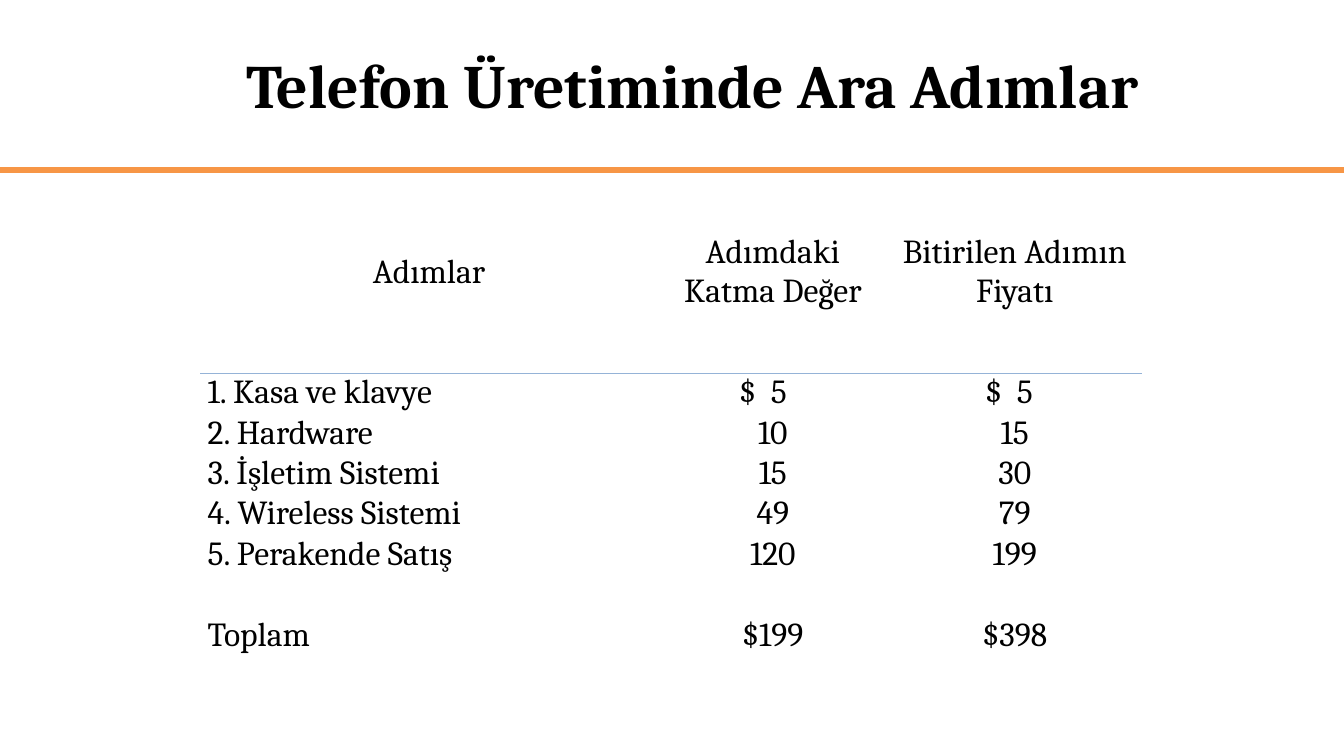
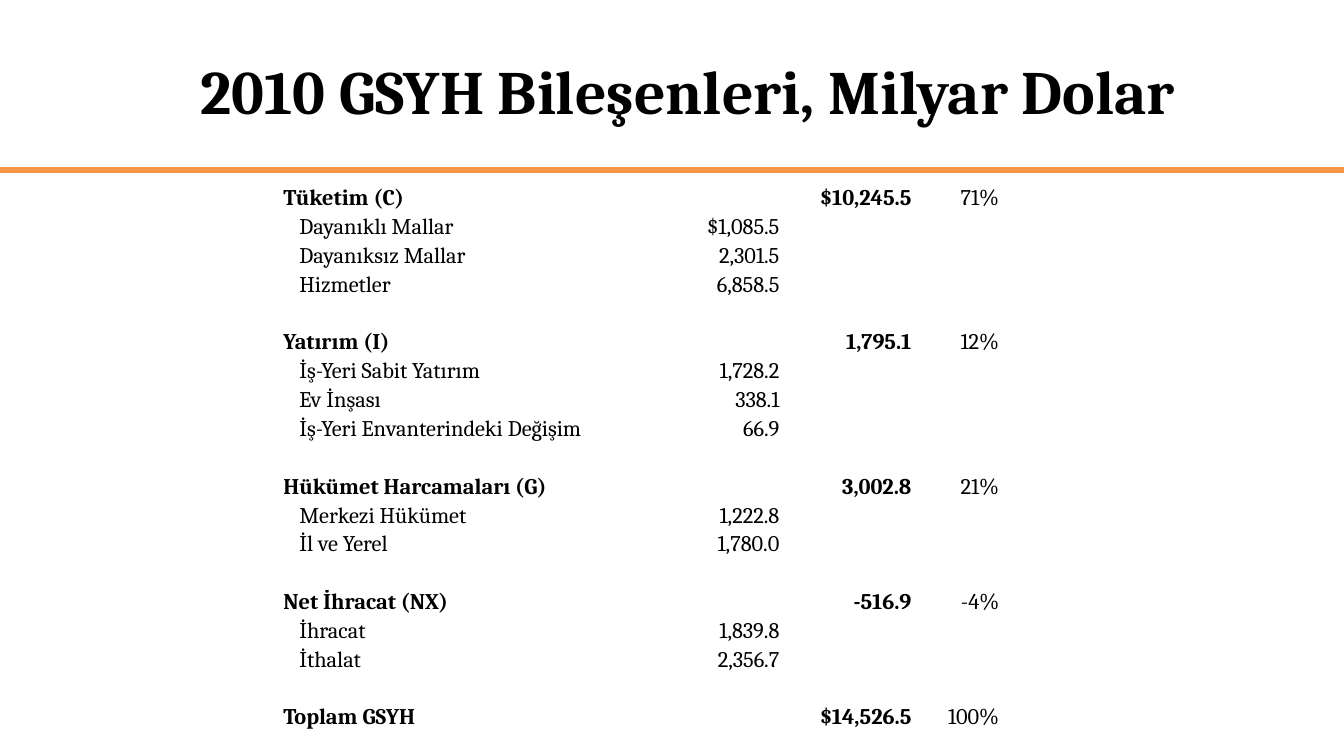
from dataclasses import dataclass

from lxml import etree
from pptx import Presentation
from pptx import util as u
from pptx.dml.color import RGBColor
from pptx.enum import shapes, text
from pptx.oxml import ns

PX = 9144
SLIDE_W, SLIDE_H = 1333, 750
RULE_Y = 169
FONT = "Cambria"
BLACK = RGBColor(0x00, 0x00, 0x00)
ORANGE = RGBColor(0xF7, 0x96, 0x46)
BLUE = RGBColor(0x95, 0xB3, 0xD7)
LEFT, CENTER, RIGHT = text.PP_ALIGN.LEFT, text.PP_ALIGN.CENTER, text.PP_ALIGN.RIGHT
MIDDLE, TOP = text.MSO_ANCHOR.MIDDLE, text.MSO_ANCHOR.TOP


@dataclass(frozen=True)
class Box:
    x: int
    y: int
    w: int
    h: int

    def emu(self) -> tuple:
        return tuple(u.Emu(v * PX) for v in (self.x, self.y, self.w, self.h))


@dataclass(frozen=True)
class Cell:
    label: str = ""
    align: text.PP_ALIGN = LEFT
    bold: bool = False
    indent: int = 0
    anchor: text.MSO_ANCHOR = TOP


@dataclass(frozen=True)
class Grid:
    box: Box
    cols: tuple
    size: int
    rows: list
    header_h: int = 0
    ruled_row: int = 0


def apply(target, values: dict) -> None:
    for name, value in values.items():
        setattr(target, name, value)


def style_font(font, size: int, bold: bool) -> None:
    apply(font, {"name": FONT, "size": u.Pt(size), "bold": bold})
    font.color.rgb = BLACK


def add_rule(s) -> None:
    y = u.Emu(RULE_Y * PX)
    line = s.shapes.add_connector(
        shapes.MSO_CONNECTOR.STRAIGHT, 0, y, u.Emu(SLIDE_W * PX), y)
    line.line.color.rgb = ORANGE
    line.line.width = u.Pt(4.5)
    etree.SubElement(line._element.spPr, ns.qn("a:effectLst"))


def add_titled_slide(prs, title: str, box: Box):
    s = prs.slides.add_slide(prs.slide_layouts[5])
    add_rule(s)
    sp = s.shapes.title
    apply(sp, dict(zip(("left", "top", "width", "height"), box.emu())))
    tf = sp.text_frame
    apply(tf, {"text": title, "word_wrap": True, "vertical_anchor": MIDDLE,
               "auto_size": text.MSO_AUTO_SIZE.NONE})
    p = tf.paragraphs[0]
    p.alignment = CENTER
    style_font(p.runs[0].font, 44, True)
    return s


def add_border(tc, side: str) -> None:
    ln = etree.Element(ns.qn(f"a:{side}"), w=str(u.Pt(1)))
    fill = etree.SubElement(ln, ns.qn("a:solidFill"))
    etree.SubElement(fill, ns.qn("a:srgbClr"), val=str(BLUE))
    tc._tc.get_or_add_tcPr().insert(0, ln)


def fill_cell(tc, cell: Cell, size: int) -> None:
    margin = u.Emu(7 * PX)
    apply(tc, {"margin_left": margin, "margin_right": margin, "margin_top": 0,
               "margin_bottom": 0, "vertical_anchor": cell.anchor})
    tc.fill.background()
    p = tc.text_frame.paragraphs[0]
    p.alignment = cell.align
    if cell.indent:
        p._p.get_or_add_pPr().set("marL", str(cell.indent * PX))
    if cell.label:
        r = p.add_run()
        r.text = cell.label
        style_font(r.font, size, cell.bold)
    else:
        p._p.get_or_add_endParaRPr().set("sz", str(size * 100))


def add_grid(s, grid: Grid) -> None:
    n = len(grid.rows)
    table = s.shapes.add_table(n, len(grid.cols), *grid.box.emu()).table
    apply(table, {"first_row": False, "horz_banding": False})
    for col, width in zip(table.columns, grid.cols):
        col.width = u.Emu(width * PX)
    if grid.header_h:
        body_h = (grid.box.h - grid.header_h) * PX // (n - 1)
        for i, row in enumerate(table.rows):
            row.height = u.Emu(body_h if i else grid.header_h * PX)
    for i, cells in enumerate(grid.rows):
        for j, cell in enumerate(cells):
            tc = table.cell(i, j)
            fill_cell(tc, cell, grid.size)
            if grid.ruled_row and i == grid.ruled_row:
                add_border(tc, "lnB")
            if grid.ruled_row and i == grid.ruled_row + 1:
                add_border(tc, "lnT")


def step_row(label: str, added: str, price: str) -> list:
    return [Cell(label), Cell(added, CENTER), Cell(price, CENTER)]


def total_row(label: str, amount: str, share: str) -> list:
    return [Cell(label, bold=True), Cell(), Cell(amount, RIGHT, True), Cell(share, RIGHT)]


def item_row(label: str, amount: str) -> list:
    return [Cell(label, indent=16), Cell(amount, RIGHT), Cell(), Cell()]


STEPS = [
    ("2. Hardware", "10", "15"),
    ("3. İşletim Sistemi", "15", "30"),
    ("4. Wireless Sistemi", "49", "79"),
    ("5. Perakende Satış", "120", "199"),
    ("", "", ""),
    ("Toplam", "$199", "$398"),
]

COMPONENTS = [
    (("Tüketim (C)", "$10,245.5", "71%"),
     [("Dayanıklı Mallar", "$1,085.5"), ("Dayanıksız Mallar", "2,301.5"),
      ("Hizmetler", "6,858.5")]),
    (("Yatırım (I)", "1,795.1", "12%"),
     [("İş-Yeri Sabit Yatırım", "1,728.2"), ("Ev İnşası", "338.1"),
      ("İş-Yeri Envanterindeki Değişim", "66.9")]),
    (("Hükümet Harcamaları (G)", "3,002.8", "21%"),
     [("Merkezi Hükümet", "1,222.8"), ("İl ve Yerel", "1,780.0")]),
    (("Net İhracat (NX)", "-516.9", "-4%"),
     [("İhracat", "1,839.8"), ("İthalat", "2,356.7")]),
]


def build_steps(prs) -> None:
    s = add_titled_slide(prs, "Telefon Üretiminde Ara Adımlar", Box(217, 0, 940, 167))
    heads = ("Adımlar", "Adımdaki Katma Değer", "Bitirilen Adımın Fiyatı")
    rows = [
        [Cell(head, CENTER, anchor=MIDDLE) for head in heads],
        step_row("", "", ""),
        [Cell("1. Kasa ve klavye"), Cell("$  5", indent=74), Cell("$  5", indent=89)],
    ]
    rows += [step_row(*step) for step in STEPS]
    add_grid(s, Grid(Box(199, 210, 933, 440), (453, 229, 251), 24, rows, 120, 1))


def build_components(prs) -> None:
    s = add_titled_slide(prs, "2010 GSYH Bileşenleri, Milyar Dolar", Box(155, 6, 1055, 167))
    rows = []
    for total, items in COMPONENTS:
        rows.append(total_row(*total))
        rows += [item_row(*item) for item in items]
        rows.append([Cell()] * 4)
    rows.append(total_row("Toplam GSYH", "$14,526.5", "100%"))
    add_grid(s, Grid(Box(274, 184, 724, 544), (389, 117, 131, 87), 16, rows))


def main() -> None:
    prs = Presentation()
    apply(prs, {"slide_width": u.Emu(SLIDE_W * PX), "slide_height": u.Emu(SLIDE_H * PX)})
    build_steps(prs)
    build_components(prs)
    prs.save("out.pptx")


if __name__ == "__main__":
    main()
